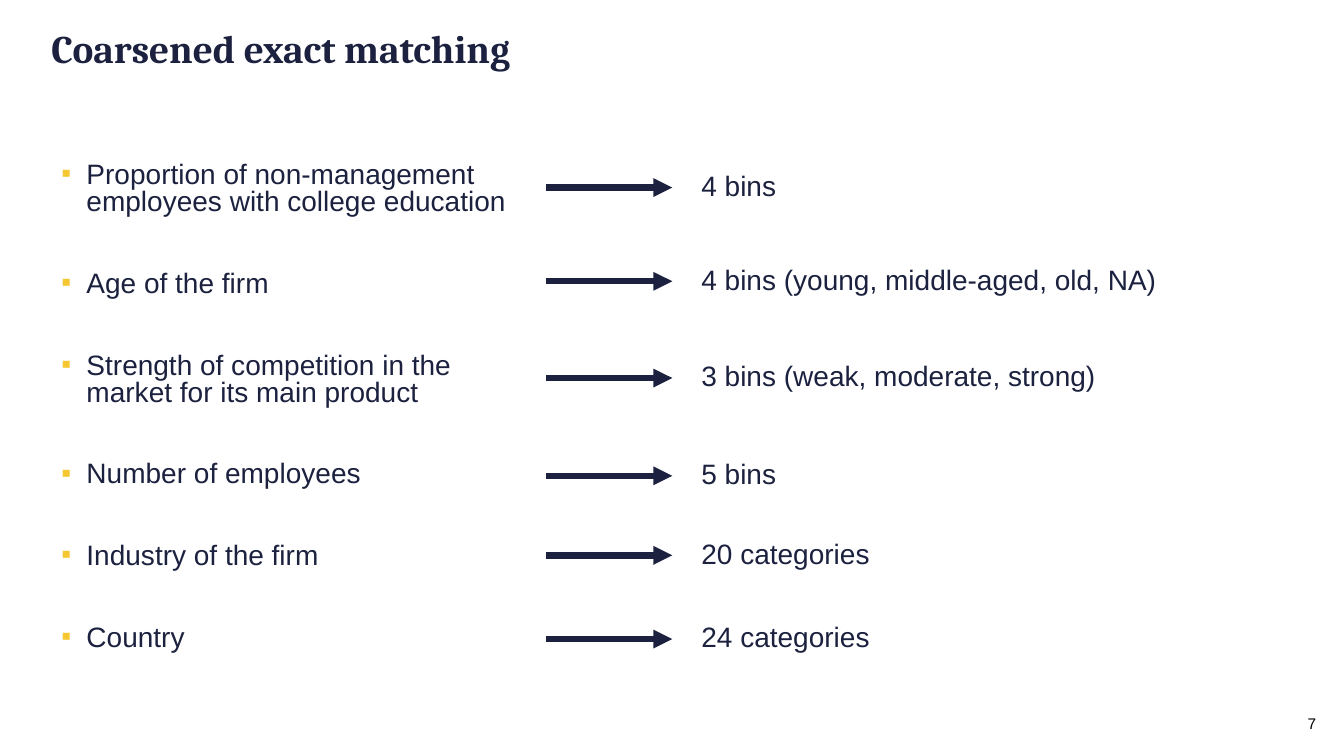
"""Build the slide on coarsened exact matching."""
from dataclasses import dataclass

from lxml import etree
from pptx import Presentation
from pptx.dml.color import RGBColor
from pptx.enum.shapes import MSO_CONNECTOR, MSO_SHAPE
from pptx.enum.text import MSO_ANCHOR, MSO_AUTO_SIZE, PP_ALIGN
from pptx.oxml.ns import qn
from pptx.util import Pt

STRAIGHT, RECTANGLE = MSO_CONNECTOR.STRAIGHT, MSO_SHAPE.RECTANGLE
TOP, MIDDLE = MSO_ANCHOR.TOP, MSO_ANCHOR.MIDDLE
LEFT, CENTER = PP_ALIGN.LEFT, PP_ALIGN.CENTER
NO_FIT = MSO_AUTO_SIZE.NONE

TITLE = "Coarsened exact matching"
PAGE_NUMBER = "7"
# Each entry: variable, its bins, and the height of its arrow in points.
MATCHING = [
    ("Proportion of non-management employees with college education", "4 bins", 134),
    ("Age of the firm", "4 bins (young, middle-aged, old, NA)", 200.9),
    ("Strength of competition in the market for its main product",
     "3 bins (weak, moderate, strong)", 270),
    ("Number of employees", "5 bins", 339.9),
    ("Industry of the firm", "20 categories", 396.7),
    ("Country", "24 categories", 456.5),
]


@dataclass(frozen=True)
class Theme:
    """Colours, fonts and type sizes."""
    ink: str = "1B213E"
    bullet: str = "F5C832"
    page: str = "FFFFFF"
    number: str = "000000"
    heading_font: str = "Cambria"
    body_font: str = "Arial"
    title_size: float = 28
    body_size: float = 20
    number_size: float = 11


THEME = Theme()
SLIDE_SIZE = (960, 540)
TITLE_BOX = (36.7, 17.3, 822.2, 79.2)
VARIABLES_BOX = (36.7, 113, 341.3, 387.4)
NUMBER_BOX = (920.9, 500.4, 32.4, 33.1)
ARROW_LEFT, ARROW_RIGHT, ARROW_WEIGHT = 390.2, 480.2, 4.5
BINS_LEFT, BINS_WIDTH, BINS_HEIGHT = 493.9, 429.1, 29.5
BINS_RISE = 14.5
INDENT, FIRST_GAP, VARIABLE_GAP = 18, 10, 39.2


def points(box):
    """Convert a box to lengths."""
    return [Pt(value) for value in box]


def style(paragraph, size, color=THEME.ink, font=THEME.body_font, bold=False):
    """Format the runs of a paragraph."""
    for run in paragraph.runs:
        run.font.name, run.font.size, run.font.bold = font, Pt(size), bold
        run.font.color.rgb = RGBColor.from_string(color)


def clear_insets(frame):
    """Remove the inner margins of a text frame."""
    frame.margin_left = frame.margin_right = frame.margin_top = frame.margin_bottom = 0


def add_bullet(paragraph):
    """Give a paragraph a hanging square bullet."""
    properties = paragraph._p.get_or_add_pPr()
    properties.set("marL", str(Pt(INDENT)))
    properties.set("indent", str(-Pt(INDENT)))
    color = etree.SubElement(properties, qn("a:buClr"))
    etree.SubElement(color, qn("a:srgbClr"), val=THEME.bullet)
    etree.SubElement(properties, qn("a:buFont"), typeface=THEME.body_font)
    etree.SubElement(properties, qn("a:buChar"), char="▪")


def add_title(slide):
    """Place the title."""
    title = slide.shapes.title
    title.left, title.top, title.width, title.height = points(TITLE_BOX)
    frame = title.text_frame
    frame.text = TITLE
    frame.auto_size, frame.vertical_anchor = NO_FIT, TOP
    clear_insets(frame)
    frame.paragraphs[0].alignment = LEFT
    style(frame.paragraphs[0], THEME.title_size, font=THEME.heading_font, bold=True)


def add_variables(slide):
    """List the matching variables."""
    frame = slide.shapes.add_textbox(*points(VARIABLES_BOX)).text_frame
    frame.word_wrap = True
    frame.text = "\n".join(variable for variable, _, _ in MATCHING)
    for index, paragraph in enumerate(frame.paragraphs):
        paragraph.line_spacing = 0.8
        paragraph.space_before = Pt(VARIABLE_GAP if index else FIRST_GAP)
        add_bullet(paragraph)
        style(paragraph, THEME.body_size)


def add_arrow(slide, height):
    """Draw an arrow from a variable to its bins."""
    arrow = slide.shapes.add_connector(
        STRAIGHT, *points((ARROW_LEFT, height, ARROW_RIGHT, height)))
    arrow.line.width = Pt(ARROW_WEIGHT)
    arrow.line.color.rgb = RGBColor.from_string(THEME.ink)
    etree.SubElement(arrow.line._get_or_add_ln(), qn("a:tailEnd"), type="triangle")
    etree.SubElement(arrow._element.spPr, qn("a:effectLst"))


def add_bins(slide, bins, height):
    """Write the bins beside an arrow."""
    box = (BINS_LEFT, height - BINS_RISE, BINS_WIDTH, BINS_HEIGHT)
    frame = slide.shapes.add_textbox(*points(box)).text_frame
    frame.word_wrap = True
    frame.text = bins
    paragraph = frame.paragraphs[0]
    paragraph.line_spacing, paragraph.space_before = 0.9, Pt(FIRST_GAP)
    style(paragraph, THEME.body_size)


def add_page_number(slide):
    """Place the page number."""
    number = slide.shapes.add_shape(RECTANGLE, *points(NUMBER_BOX))
    number.shadow.inherit = False
    number.fill.solid()
    number.fill.fore_color.rgb = RGBColor.from_string(THEME.page)
    number.line.fill.background()
    frame = number.text_frame
    frame.text, frame.vertical_anchor = PAGE_NUMBER, MIDDLE
    clear_insets(frame)
    frame.paragraphs[0].alignment = CENTER
    style(frame.paragraphs[0], THEME.number_size, THEME.number)


def main():
    """Assemble and save the slide."""
    deck = Presentation()
    deck.slide_width, deck.slide_height = points(SLIDE_SIZE)
    slide = deck.slides.add_slide(deck.slide_layouts[5])
    add_page_number(slide)
    add_title(slide)
    add_variables(slide)
    for _, bins, height in MATCHING:
        add_arrow(slide, height)
        add_bins(slide, bins, height)
    deck.save("out.pptx")


if __name__ == "__main__":
    main()
